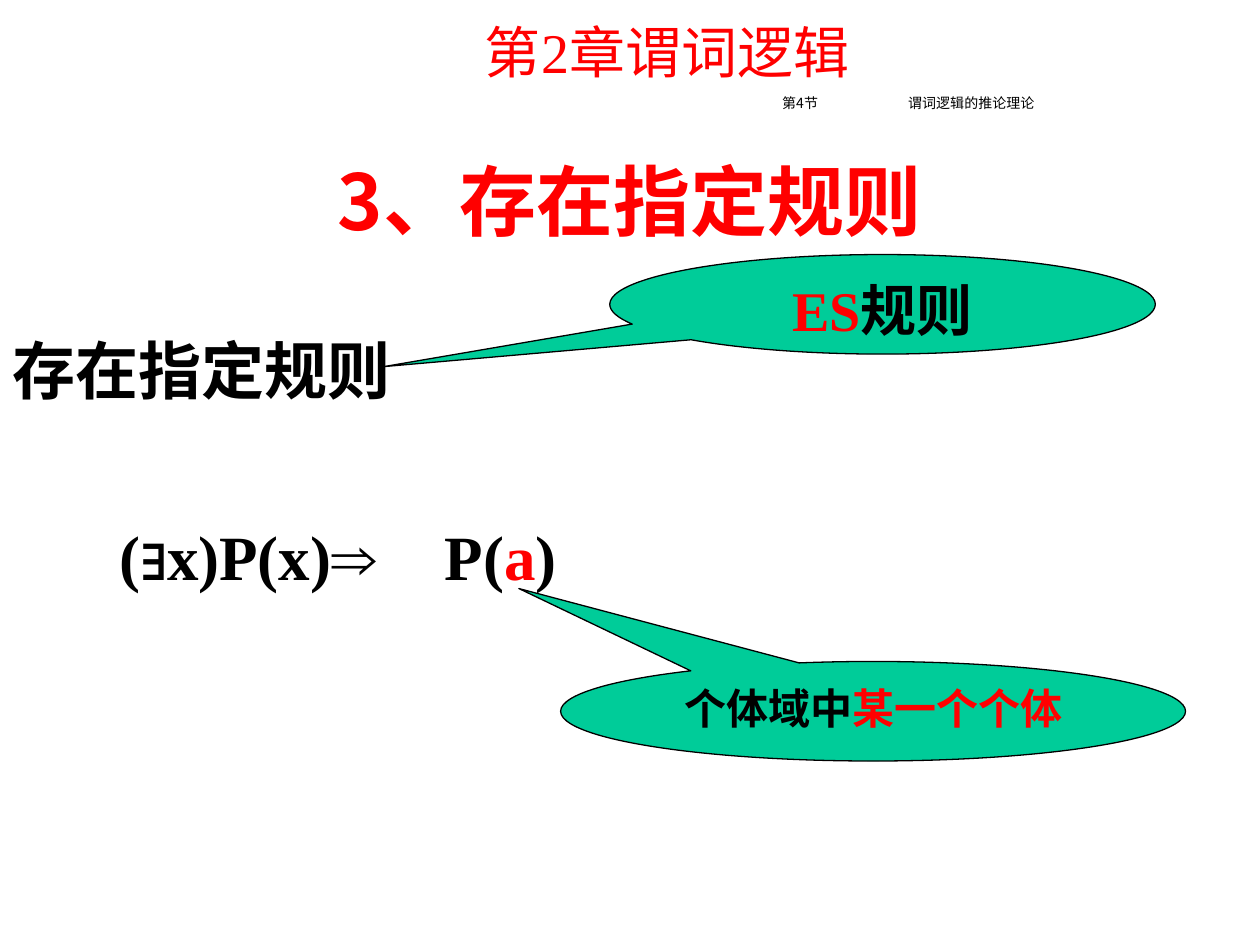
from dataclasses import dataclass

from pptx import Presentation
from pptx.dml.color import RGBColor
from pptx.enum import shapes, text
from pptx.oxml.ns import qn
from pptx.util import Pt


@dataclass(frozen=True)
class Theme:
    black: RGBColor = RGBColor(0, 0, 0)
    red: RGBColor = RGBColor(255, 0, 0)
    green: RGBColor = RGBColor(0, 204, 153)
    serif: str = "Times New Roman"
    cjk: str = "Noto Sans CJK SC"
    symbol: str = "Arial"
    section: int = 8
    note: int = 24
    label: int = 32
    body: int = 36
    title: int = 44
    outline: float = 0.75


THEME = Theme()
LEFT, CENTER = text.PP_ALIGN.LEFT, text.PP_ALIGN.CENTER
TOP, MIDDLE = text.MSO_ANCHOR.TOP, text.MSO_ANCHOR.MIDDLE

# Content: runs are (wording, changes from the paragraph font); boxes are
# left, top, width, height in points
TITLE = dict(box=(54, 84.24, 612, 59.76), runs=[("3、存在指定规则", {})],
             size=THEME.title, name=THEME.cjk, color=THEME.red, anchor=MIDDLE)
RULE_NAME = dict(box=(0, 185.76, 275.04, 89.28), runs=[("存在指定规则", {})],
                 size=THEME.body, name=THEME.cjk, align=LEFT)
TEXT_BOXES = [
    dict(box=(228.24, 6.48, 306, 46.08), runs=[("第2章谓词逻辑", {})],
         size=THEME.label, color=THEME.red, bold=False),
    dict(box=(324, 51.12, 390.24, 17.28), runs=[("第4节\t谓词逻辑的推论理论", {})],
         size=THEME.section, name=THEME.cjk, bold=False, anchor=MIDDLE,
         spacing=0.8, tab=72),
    dict(box=(61.2, 292.32, 172.8, 50.4), size=THEME.body, align=LEFT, wrap=False,
         runs=[("(", {}), ("∃", {"name": THEME.symbol}), ("x)P(x)", {}),
               ("⇒", {"name": THEME.symbol})]),
    dict(box=(246.96, 292.32, 78.48, 50.4), size=THEME.body, align=LEFT, wrap=False,
         runs=[("P(", {}), ("a", {"color": THEME.red}), (")", {})]),
]
# Each callout has its pointer offset, as a share of its width and height
CALLOUTS = [
    ((-0.914, 0.626),
     dict(box=(348.48, 145.44, 311.76, 56.88), size=THEME.label,
          runs=[("ES", {"color": THEME.red}), ("规则", {})])),
    ((-0.567, -1.233),
     dict(box=(320.4, 378, 357.12, 56.88), size=THEME.note,
          runs=[("个体域中", {}), ("某一个个体", {"color": THEME.red})])),
]


def style_font(font, size=None, name=None, color=None, bold=None):
    if size is not None:
        font.size = Pt(size)
    if name is not None:
        font.name = name
    if color is not None:
        font.color.rgb = color
    if bold is not None:
        font.bold = bold


def place(shape, box):
    shape.left, shape.top, shape.width, shape.height = map(Pt, box)


def write(shape, box, runs, size, name=THEME.serif, color=THEME.black, bold=True,
          align=CENTER, anchor=TOP, wrap=True, spacing=1.0, tab=None):
    place(shape, box)
    frame = shape.text_frame
    frame.auto_size = text.MSO_AUTO_SIZE.NONE
    frame.word_wrap = wrap
    frame.vertical_anchor = anchor
    frame.margin_left = frame.margin_right = Pt(7.2)
    frame.margin_top = frame.margin_bottom = Pt(3.6)

    paragraph = frame.paragraphs[0]
    paragraph.alignment = align
    paragraph.line_spacing = spacing
    paragraph.space_before = Pt(0)
    properties = paragraph._p.get_or_add_pPr()
    if shape.is_placeholder:
        properties.set("marL", "0")
        properties.set("indent", "0")
        properties.append(properties.makeelement(qn("a:buNone"), {}))
    if tab:
        tabs = properties.makeelement(qn("a:tabLst"), {})
        tabs.append(tabs.makeelement(qn("a:tab"), {"pos": str(Pt(tab)), "algn": "l"}))
        properties.append(tabs)
    style_font(paragraph.font, size, name, color, bold)

    for wording, changes in runs:
        run = paragraph.add_run()
        run.text = wording
        style_font(run.font, **changes)


def add_callout(slide, pointer, content):
    shape = slide.shapes.add_shape(
        shapes.MSO_SHAPE.OVAL_CALLOUT, *map(Pt, content["box"]))
    shape.adjustments[0], shape.adjustments[1] = pointer
    shape.shadow.inherit = False
    shape.fill.solid()
    shape.fill.fore_color.rgb = THEME.green
    shape.line.color.rgb = THEME.black
    shape.line.width = Pt(THEME.outline)
    write(shape, **content)


def main():
    presentation = Presentation()
    presentation.slide_width, presentation.slide_height = Pt(720), Pt(540)
    slide = presentation.slides.add_slide(presentation.slide_layouts[1])

    # Title and rule name
    write(slide.shapes.title, **TITLE)
    write(slide.placeholders[1], **RULE_NAME)

    # Chapter, section and formula
    for content in TEXT_BOXES:
        write(slide.shapes.add_textbox(*map(Pt, content["box"])), **content)

    # Callouts
    for pointer, content in CALLOUTS:
        add_callout(slide, pointer, content)

    presentation.save("out.pptx")


if __name__ == "__main__":
    main()
